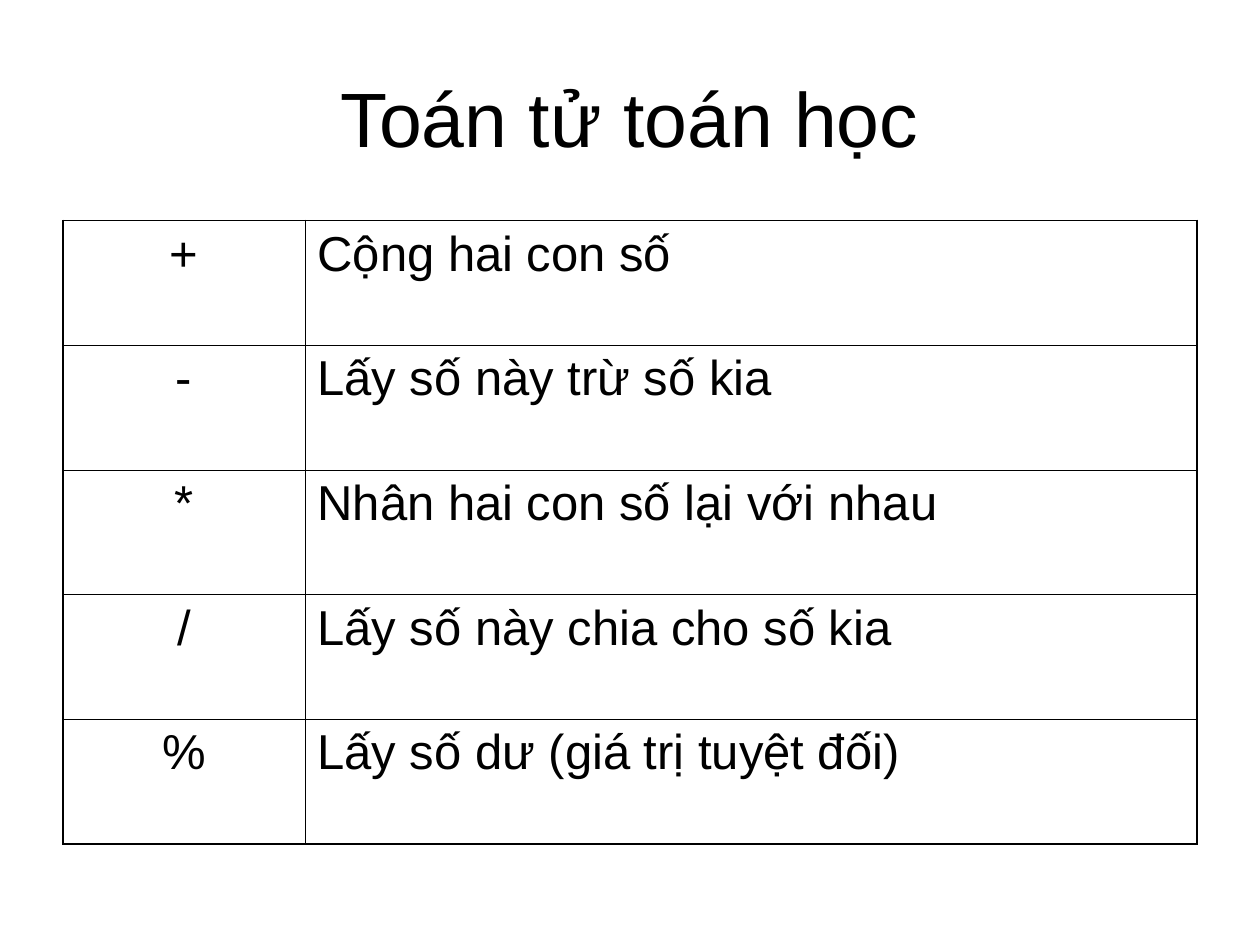
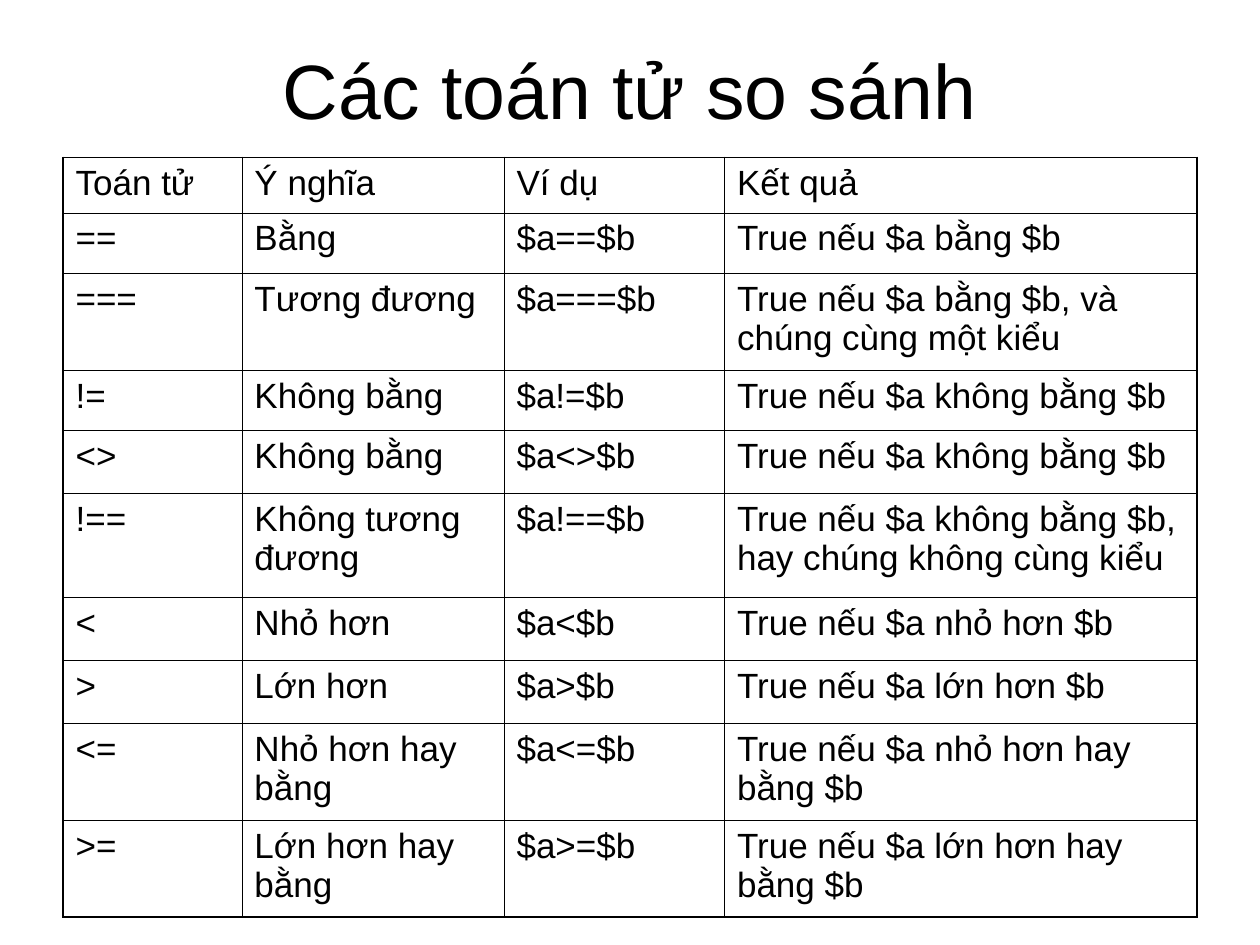
from lxml.etree import SubElement
from pptx import Presentation
from pptx.dml.color import RGBColor
from pptx.enum.text import MSO_ANCHOR, MSO_AUTO_SIZE, PP_ALIGN
from pptx.oxml.ns import qn
from pptx.util import Inches, Pt

COLORS = {"text": "000000", "border": "000000"}
FONT = "Arial"
LEFT, WIDTH = 0.5, 9
TITLE_HEIGHT, TITLE_SIZE = 1.25, 44
OUTER_BORDER, INNER_BORDER = 1.08, 0.45

ARITHMETIC = [
    ("+", "Cộng hai con số"),
    ("-", "Lấy số này trừ số kia"),
    ("*", "Nhân hai con số lại với nhau"),
    ("/", "Lấy số này chia cho số kia"),
    ("%", "Lấy số dư (giá trị tuyệt đối)"),
]
COMPARISON_HEADER = ("Toán tử", "Ý nghĩa", "Ví dụ", "Kết quả")
COMPARISONS = [
    ("==", "Bằng", "True nếu $a bằng $b"),
    ("===", "Tương đương", "True nếu $a bằng $b, và chúng cùng một kiểu"),
    ("!=", "Không bằng", "True nếu $a không bằng $b"),
    ("<>", "Không bằng", "True nếu $a không bằng $b"),
    ("!==", "Không tương đương", "True nếu $a không bằng $b, hay chúng không cùng kiểu"),
    ("<", "Nhỏ hơn", "True nếu $a nhỏ hơn $b"),
    (">", "Lớn hơn", "True nếu $a lớn hơn $b"),
    ("<=", "Nhỏ hơn hay bằng", "True nếu $a nhỏ hơn hay bằng $b"),
    (">=", "Lớn hơn hay bằng", "True nếu $a lớn hơn hay bằng $b"),
]


def write_text(text_frame, text, size, align, space_before=0):
    """Put one formatted run into the first paragraph of a text frame."""
    paragraph = text_frame.paragraphs[0]
    paragraph.alignment = align
    paragraph.space_before = Pt(space_before)
    run = paragraph.add_run()
    run.text = text
    run.font.name = FONT
    run.font.size = Pt(size)
    run.font.bold = False
    run.font.color.rgb = RGBColor.from_string(COLORS["text"])


def add_titled_slide(presentation, title, top):
    """Add a title-only slide with its title at the given height."""
    slide = presentation.slides.add_slide(presentation.slide_layouts[5])
    shape = slide.shapes.title
    shape.left, shape.top = Inches(LEFT), Inches(top)
    shape.width, shape.height = Inches(WIDTH), Inches(TITLE_HEIGHT)
    text_frame = shape.text_frame
    text_frame.word_wrap = True
    text_frame.auto_size = MSO_AUTO_SIZE.NONE
    text_frame.vertical_anchor = MSO_ANCHOR.MIDDLE
    write_text(text_frame, title, TITLE_SIZE, PP_ALIGN.CENTER)
    return slide


def set_borders(cell, outer_sides):
    """Draw the four cell borders, thicker on the outer sides of the table."""
    properties = cell._tc.get_or_add_tcPr()
    for side in "LRTB":
        width = OUTER_BORDER if side in outer_sides else INNER_BORDER
        line = SubElement(properties, qn(f"a:ln{side}"), w=str(Pt(width)))
        fill = SubElement(line, qn("a:solidFill"))
        SubElement(fill, qn("a:srgbClr"), val=COLORS["border"])


def add_grid(slide, top, column_widths, row_heights, rows, size, space_before, first_align):
    """Add a plain ruled table, with its own alignment in the first column."""
    last_row, last_column = len(rows) - 1, len(column_widths) - 1
    frame = slide.shapes.add_table(
        len(rows), len(column_widths), Inches(LEFT), Inches(top),
        Inches(WIDTH), Inches(sum(row_heights)))
    table = frame.table
    table.first_row = table.horz_banding = False
    for column, width in zip(table.columns, column_widths):
        column.width = Inches(width)
    for row, height in zip(table.rows, row_heights):
        row.height = Inches(height)
    for row_index, texts in enumerate(rows):
        for column_index, text in enumerate(texts):
            cell = table.cell(row_index, column_index)
            edges = {"L": column_index == 0, "R": column_index == last_column,
                     "T": row_index == 0, "B": row_index == last_row}
            set_borders(cell, [side for side, is_outer in edges.items() if is_outer])
            cell.fill.background()
            align = PP_ALIGN.LEFT if column_index else first_align
            write_text(cell.text_frame, text, size, align, space_before)


def main():
    """Build the two operator slides and save them."""
    presentation = Presentation()
    presentation.slide_width, presentation.slide_height = Inches(10), Inches(7.5)

    slide = add_titled_slide(presentation, "Toán tử toán học", 0.3)
    add_grid(slide, 1.75, [1.92, 7.08], [0.99] * len(ARITHMETIC), ARITHMETIC,
             28, 7, PP_ALIGN.CENTER)

    slide = add_titled_slide(presentation, "Các toán tử so sánh", 0.08)
    rows = [COMPARISON_HEADER] + [
        (operator, meaning, f"$a{operator}$b", result)
        for operator, meaning, result in COMPARISONS]
    heights = [0.44, 0.48, 0.77, 0.48, 0.5, 0.82, 0.5, 0.5, 0.77, 0.77]
    add_grid(slide, 1.25, [1.42, 2.08, 1.75, 3.75], heights, rows,
             20, 5, PP_ALIGN.LEFT)

    presentation.save("out.pptx")


if __name__ == "__main__":
    main()
